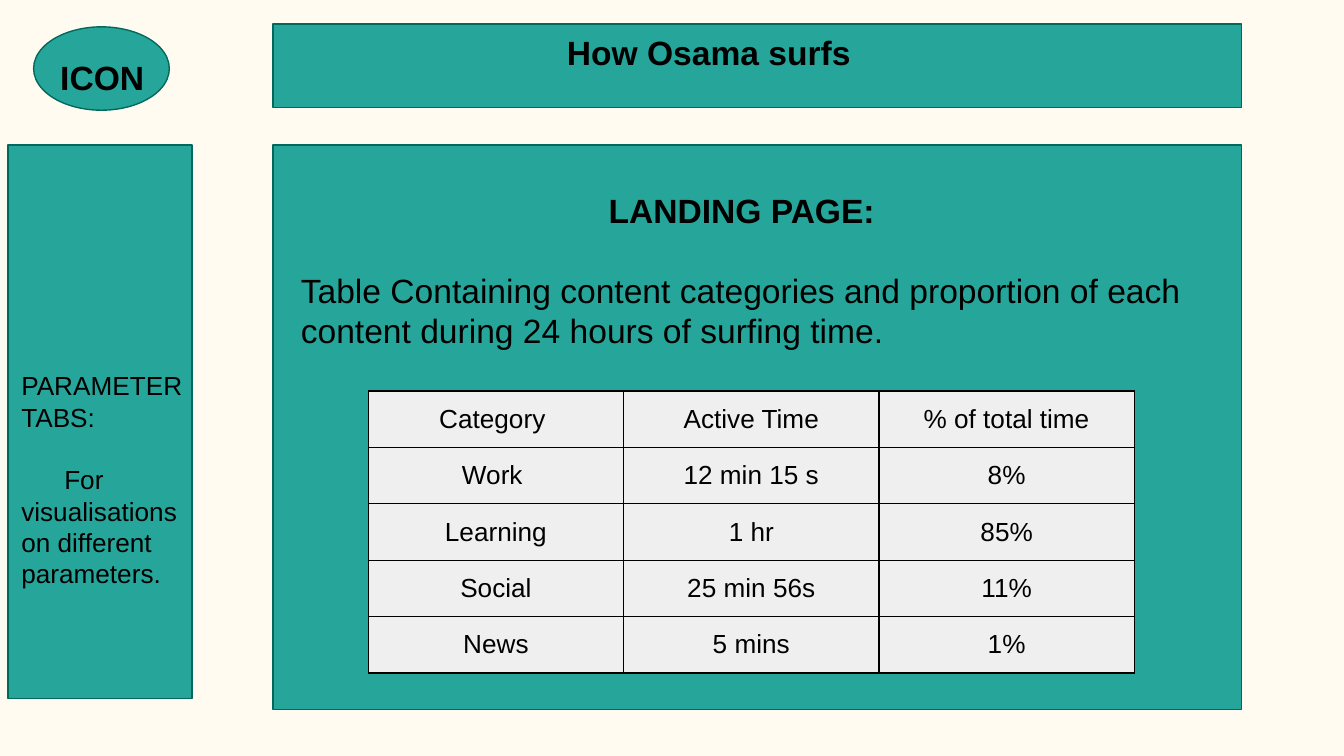
from dataclasses import dataclass

from lxml.etree import SubElement
from pptx import Presentation
from pptx.dml.color import RGBColor
from pptx.enum.shapes import MSO_SHAPE
from pptx.enum.text import PP_ALIGN
from pptx.oxml.ns import qn
from pptx.util import Inches, Pt


@dataclass(frozen=True)
class Theme:
    background: str = "FFFBF0"
    panel: str = "26A69A"
    outline: str = "00695C"
    cell: str = "EFEFEF"
    ink: str = "000000"
    font: str = "Arial"
    large: float = 18
    small: float = 14
    line: float = 0.75


@dataclass(frozen=True)
class Frame:
    left: float
    top: float
    width: float
    height: float

    def lengths(self):
        return [Inches(value) for value in (self.left, self.top, self.width, self.height)]


@dataclass(frozen=True)
class Panel:
    frame: Frame
    kind: MSO_SHAPE = MSO_SHAPE.RECTANGLE


@dataclass(frozen=True)
class Line:
    text: str
    size: float
    bold: bool = False
    indent: float = 0
    before: float = 0


@dataclass(frozen=True)
class Label:
    frame: Frame
    lines: tuple[Line, ...]
    top_inset: float = 0.1


THEME = Theme()

PANELS = (
    Panel(Frame(2.03, 0.18, 7.21, 0.62)),
    Panel(Frame(0.06, 1.08, 1.37, 4.12)),
    Panel(Frame(2.03, 1.08, 7.21, 4.2)),
    Panel(Frame(0.25, 0.2, 1.01, 0.62), MSO_SHAPE.OVAL),
)

LABELS = (
    Label(Frame(0.35, 0.32, 0.83, 0.51), (Line("ICON", THEME.large, True),)),
    Label(Frame(2.14, 1.31, 6.9, 0.87), (
        Line("LANDING PAGE:", THEME.large, True, indent=2.29),
        Line("Table Containing content categories and proportion of each "
             "content during 24 hours of surfing time.", THEME.large, before=21.5),
    )),
    Label(Frame(0.06, 1.25, 1.58, 3.88), (
        Line("PARAMETER TABS:", THEME.small),
        Line("For visualisations on different parameters.", THEME.small,
             indent=0.32, before=16.8),
    ), top_inset=1.5),
    Label(Frame(3.53, 0.14, 3.76, 0.69),
          (Line("How Osama surfs", THEME.large, True, indent=0.59),)),
)

TABLE_LEFT, TABLE_TOP = 2.74, 2.91
COLUMN_WIDTH, ROW_HEIGHT = 1.9, 0.42
ROWS = (
    ("Category ", "Active Time", "% of total time"),
    ("Work ", "12 min 15 s", "8%"),
    ("Learning", "1 hr", "85%"),
    ("Social", "25 min 56s", "11%"),
    ("News", "5 mins", "1%"),
)


def color(value: str) -> RGBColor:
    return RGBColor.from_string(value)


def style_runs(para, size: float, bold: bool = False) -> None:
    for span in para.runs:
        span.font.name = THEME.font
        span.font.size = Pt(size)
        span.font.bold = bold
        span.font.color.rgb = color(THEME.ink)


def draw_panel(page, panel: Panel) -> None:
    shape = page.shapes.add_shape(panel.kind, *panel.frame.lengths())
    shape.shadow.inherit = False
    shape.fill.solid()
    shape.fill.fore_color.rgb = color(THEME.panel)
    shape.line.color.rgb = color(THEME.outline)
    shape.line.width = Pt(THEME.line)


def draw_label(page, label: Label) -> None:
    box = page.shapes.add_textbox(*label.frame.lengths())
    frame = box.text_frame
    frame.word_wrap = True
    frame.margin_left = frame.margin_right = frame.margin_bottom = Inches(0.1)
    frame.margin_top = Inches(label.top_inset)
    frame.text = "\n".join(line.text for line in label.lines)
    for para, line in zip(frame.paragraphs, label.lines):
        para.space_before = Pt(line.before)
        para._p.get_or_add_pPr().set("indent", str(Inches(line.indent)))
        style_runs(para, line.size, line.bold)


def draw_borders(cell) -> None:
    properties = cell._tc.get_or_add_tcPr()
    for position, side in enumerate(("a:lnL", "a:lnR", "a:lnT", "a:lnB")):
        border = properties.makeelement(qn(side), {"w": str(Pt(THEME.line))})
        fill = SubElement(border, qn("a:solidFill"))
        SubElement(fill, qn("a:srgbClr"), val=THEME.ink)
        properties.insert(position, border)


def draw_table(page) -> None:
    columns = len(ROWS[0])
    frame = Frame(TABLE_LEFT, TABLE_TOP, columns * COLUMN_WIDTH, len(ROWS) * ROW_HEIGHT)
    table = page.shapes.add_table(len(ROWS), columns, *frame.lengths()).table
    table.first_row = table.horz_banding = False
    for column in table.columns:
        column.width = Inches(COLUMN_WIDTH)
    for row, texts in zip(table.rows, ROWS):
        row.height = Inches(ROW_HEIGHT)
        for cell, text in zip(row.cells, texts):
            cell.margin_left = cell.margin_right = cell.margin_top = Inches(0.1)
            cell.margin_bottom = Inches(0.08)
            cell.fill.solid()
            cell.fill.fore_color.rgb = color(THEME.cell)
            draw_borders(cell)
            cell.text_frame.text = text
            para = cell.text_frame.paragraphs[0]
            para.alignment = PP_ALIGN.CENTER
            style_runs(para, THEME.small)


def main() -> None:
    deck = Presentation()
    deck.slide_width = Inches(10)
    deck.slide_height = deck.slide_width * 9 // 16
    page = deck.slides.add_slide(deck.slide_layouts[6])
    page.background.fill.solid()
    page.background.fill.fore_color.rgb = color(THEME.background)
    for panel in PANELS:
        draw_panel(page, panel)
    for label in LABELS:
        draw_label(page, label)
    draw_table(page)
    deck.save("out.pptx")


main()
